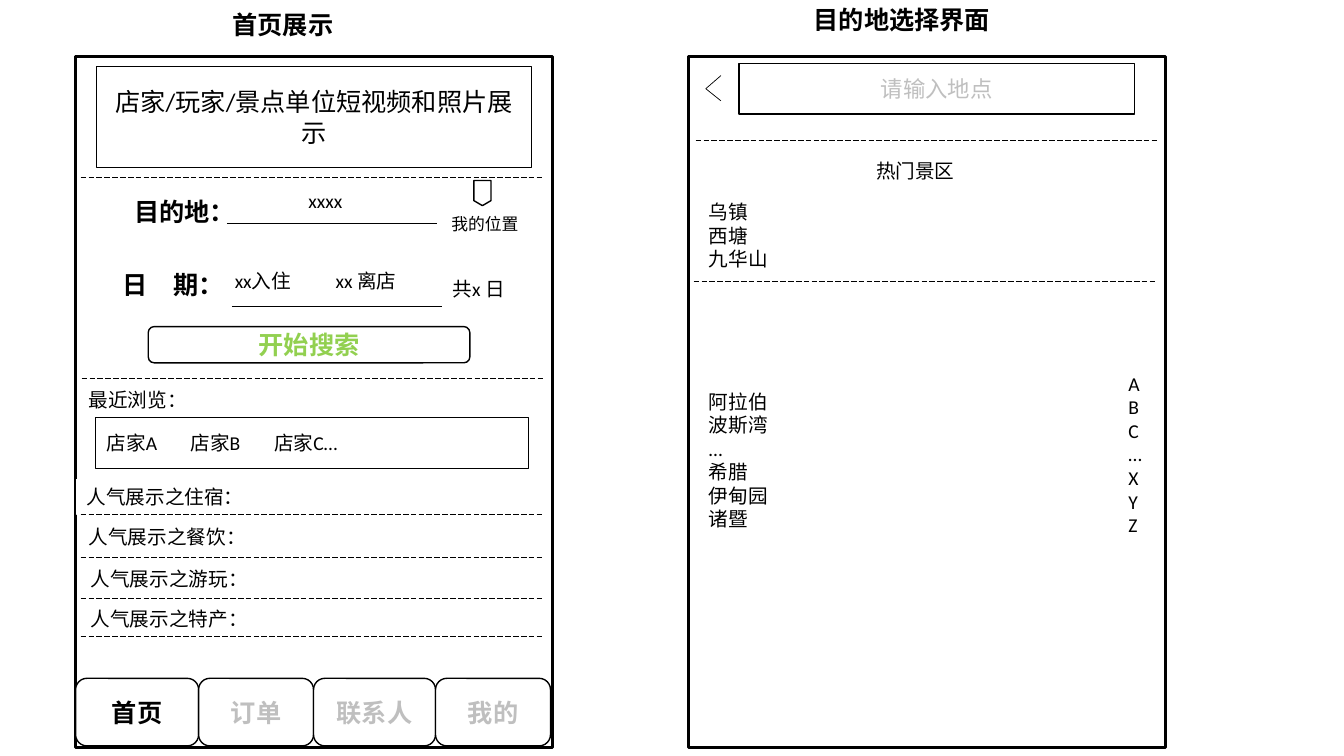
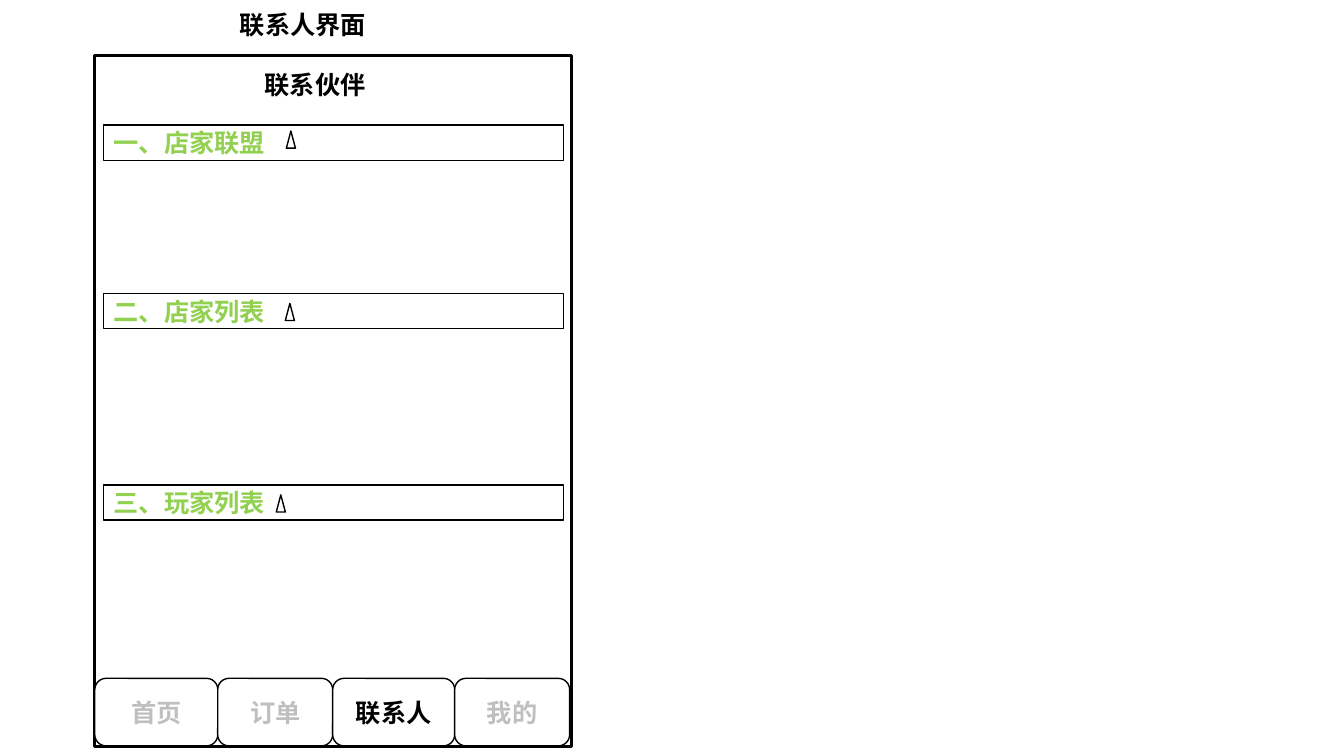
from itertools import accumulate

from pptx import Presentation
from pptx.dml.color import RGBColor
from pptx.enum.dml import MSO_LINE
from pptx.enum.shapes import MSO_CONNECTOR, MSO_SHAPE as SHAPE
from pptx.enum.text import MSO_ANCHOR, MSO_AUTO_SIZE, PP_ALIGN as ALIGN
from pptx.oxml.ns import qn
from pptx.util import Inches, Pt
from lxml.etree import SubElement

BLACK, WHITE, GREY, GREEN = "000000", "FFFFFF", "BFBFBF", "92D050"
FONT = "Calibri"
TITLE_ONLY, COMPARISON = 5, 4
TABS = ("首页", "订单", "联系人", "我的")
TAB_WIDTHS = (1.22, 1.14, 1.21, 1.14)


def color(code):
    return RGBColor.from_string(code)


def write(shape, text, size=14, ink=BLACK, bold=False, align=ALIGN.LEFT, tab=None):
    frame = shape.text_frame
    frame.word_wrap = True
    frame.auto_size = MSO_AUTO_SIZE.NONE
    frame.vertical_anchor = MSO_ANCHOR.MIDDLE
    frame.text = text
    for paragraph in frame.paragraphs:
        paragraph.alignment = align
        paragraph.space_before = Pt(0)
        properties = paragraph._p.get_or_add_pPr()
        properties.set("marL", "0")
        properties.set("indent", "0")
        SubElement(properties, qn("a:buNone"))
        if tab:
            stops = SubElement(properties, qn("a:tabLst"))
            SubElement(stops, qn("a:tab"), pos=str(Inches(tab)), algn="l")
        for run in paragraph.runs:
            font = run.font
            font.name, font.size, font.bold = FONT, Pt(size), bold
            font.color.rgb = color(ink)


class Wireframe:
    def __init__(self):
        self.deck = Presentation()
        self.deck.slide_width, self.deck.slide_height = Inches(13.33), Inches(7.5)

    def start(self, layout):
        self.slide = self.deck.slides.add_slide(self.deck.slide_layouts[layout])

    def box(self, left, top, width, height, text="", kind=SHAPE.RECTANGLE,
            edge=BLACK, weight=1, **style):
        shape = self.slide.shapes.add_shape(
            kind, Inches(left), Inches(top), Inches(width), Inches(height))
        shape.shadow.inherit = False
        shape.fill.solid()
        shape.fill.fore_color.rgb = color(WHITE)
        shape.line.color.rgb = color(edge)
        shape.line.width = Pt(weight)
        if text:
            write(shape, text, **style)

    def label(self, left, top, width, height, text, **style):
        self.box(left, top, width, height, text, edge=WHITE, **style)

    def phone(self, left, top=0.56):
        self.box(left, top, 4.73, 6.86, weight=2.25)

    def placeholder(self, index, left, top, width, height, text, **style):
        holder = self.slide.placeholders[index]
        holder.left, holder.top = Inches(left), Inches(top)
        holder.width, holder.height = Inches(width), Inches(height)
        write(holder, text, **style)
        self.slide.shapes._spTree.append(holder._element)

    def title(self, left, text, index=0, top=0.13):
        self.placeholder(index, left, top, 4.23, 0.22, text,
                         size=18, bold=True, align=ALIGN.CENTER)

    def line(self, x1, y1, x2, y2, dashed=False):
        rule = self.slide.shapes.add_connector(
            MSO_CONNECTOR.STRAIGHT, Inches(x1), Inches(y1), Inches(x2), Inches(y2))
        rule.line.color.rgb = color(BLACK)
        rule.line.width = Pt(0.5)
        if dashed:
            rule.line.dash_style = MSO_LINE.LONG_DASH
        SubElement(rule._element.spPr, qn("a:effectLst"))

    def divider(self, left, top):
        self.line(left, top, left + 4.59, top, dashed=True)

    def tab_bar(self, left, active):
        starts = accumulate(TAB_WIDTHS, initial=left)
        for name, start, width in zip(TABS, starts, TAB_WIDTHS):
            self.box(start, 6.73, width, 0.67, name, kind=SHAPE.ROUNDED_RECTANGLE,
                     size=18, bold=True, align=ALIGN.CENTER,
                     ink=BLACK if name == active else GREY)


def home_screen(ui):
    ui.phone(0.75)
    ui.title(0.69, "首页展示")
    ui.box(0.96, 0.66, 4.31, 1, "店家/玩家/景点单位短视频和照片展示",
           size=18, align=ALIGN.CENTER)
    ui.label(1.12, 1.84, 1.17, 0.52, "目的地：", size=18, bold=True, align=ALIGN.CENTER)
    ui.label(1.12, 2.56, 1.25, 0.52, "日\t期：", size=18, bold=True, tab=0.53)
    ui.label(2.96, 1.79, 0.98, 0.4, "xxxx")
    ui.box(4.7, 1.79, 0.17, 0.25, kind=SHAPE.FLOWCHART_OFFPAGE_CONNECTOR)
    ui.label(4.36, 2.06, 0.9, 0.33, "我的位置", size=12, align=ALIGN.CENTER)
    ui.label(2.23, 2.63, 2.18, 0.31, "xx入住\txx 离店", tab=1.33)
    ui.label(4.39, 2.66, 0.98, 0.4, "共x 日")
    ui.line(2.25, 2.22, 4.33, 2.22)
    ui.line(2.3, 3.04, 4.38, 3.04)
    ui.divider(0.8, 1.76)
    ui.box(1.47, 3.24, 3.19, 0.36, "开始搜索", kind=SHAPE.ROUNDED_RECTANGLE,
           size=18, bold=True, ink=GREEN, align=ALIGN.CENTER)
    ui.divider(0.81, 3.75)
    ui.label(0.78, 3.79, 2.16, 0.34, "最近浏览：")
    ui.box(0.95, 4.14, 4.29, 0.51)
    for i, (shop, width) in enumerate((("店家A", 0.77), ("店家B", 0.77), ("店家C…", 1.04))):
        ui.label(0.96 + 0.83 * i, 4.19, width, 0.4, shop)
    for topic, left, top, bottom in (("住宿", 0.76, 4.76, 5.1), ("餐饮", 0.78, 5.15, 5.53),
                                     ("游玩", 0.8, 5.57, 5.94), ("特产", 0.8, 5.97, 6.31)):
        ui.label(left, top, 2.16, 0.34, f"人气展示之{topic}：")
        ui.divider(0.8, bottom)
    ui.tab_bar(0.75, "首页")


def destination_screen(ui):
    ui.phone(6.83)
    ui.title(6.83, "目的地选择界面", index=1, top=0.08)
    for tip in (0.75, 1):
        ui.line(7.15, tip, 7, 0.88)
    ui.box(7.33, 0.63, 3.92, 0.5, "请输入地点", size=16, ink=GREY, align=ALIGN.CENTER)
    ui.divider(6.9, 1.39)
    ui.label(8.59, 1.53, 1.02, 0.32, "热门景区")
    ui.placeholder(2, 6.93, 1.92, 2.16, 0.83, "乌镇\n西塘\n九华山")
    ui.divider(6.88, 2.79)
    ui.placeholder(4, 6.93, 3.62, 1.15, 1.89, "阿拉伯\n波斯湾\n…\n希腊\n伊甸园\n诸暨")
    ui.placeholder(3, 11.09, 3.23, 0.31, 2.55, "\n".join("ABC…XYZ"))


def contacts_screen(ui):
    ui.phone(0.94, 0.55)
    ui.title(0.89, "联系人界面")
    ui.label(1.37, 0.7, 3.51, 0.27, "联系伙伴", size=18, bold=True, align=ALIGN.CENTER)
    for group, top, marker_left, marker_top in (("一、店家联盟", 1.24, 2.84, 1.3),
                                                ("二、店家列表", 2.91, 2.83, 3.01),
                                                ("三、玩家列表", 4.81, 2.74, 4.91)):
        ui.box(1.03, top, 4.56, 0.35, group, size=18, bold=True, ink=GREEN)
        ui.box(marker_left, marker_top, 0.09, 0.17, kind=SHAPE.ISOSCELES_TRIANGLE)
    ui.tab_bar(0.94, "联系人")


ui = Wireframe()
ui.start(COMPARISON)
home_screen(ui)
destination_screen(ui)
ui.start(TITLE_ONLY)
contacts_screen(ui)
ui.deck.save("out.pptx")
